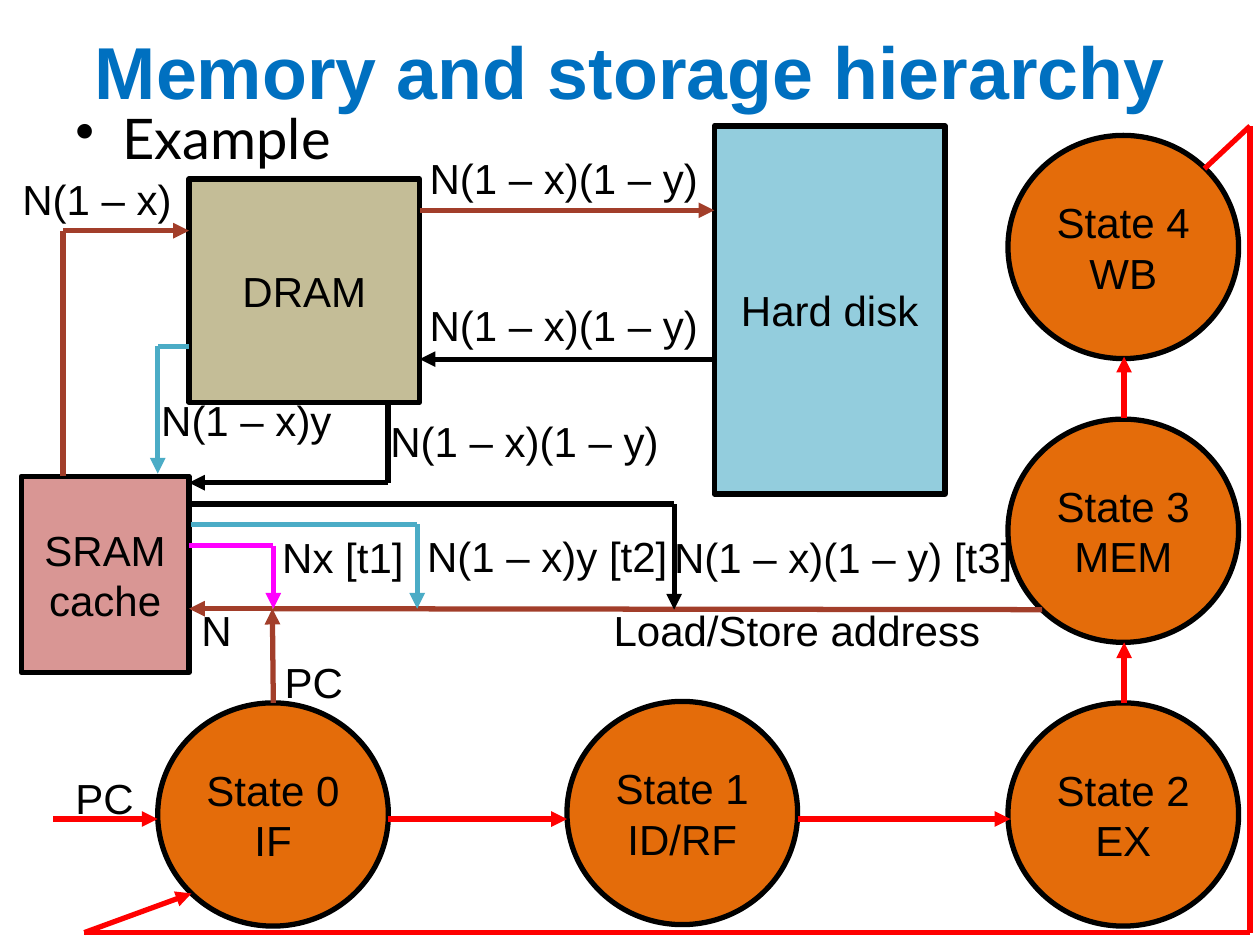
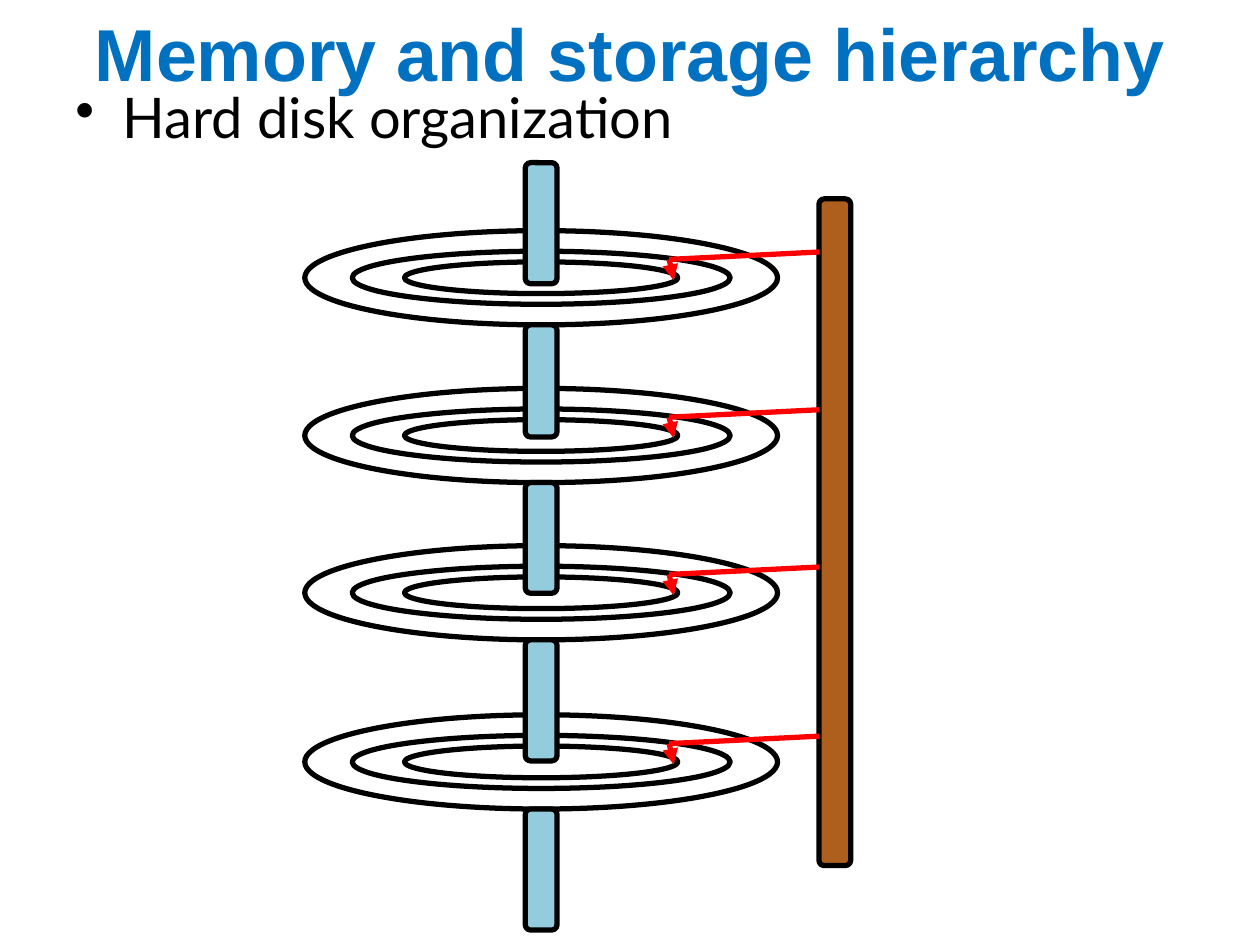
from itertools import pairwise

from pptx import Presentation
from pptx.dml.color import RGBColor
from pptx.enum.shapes import MSO_CONNECTOR, MSO_SHAPE as Shape
from pptx.enum.text import MSO_ANCHOR as Anchor, MSO_AUTO_SIZE as AutoSize, PP_ALIGN as Align
from pptx.oxml.ns import qn
from pptx.util import Cm, Pt
from lxml.etree import SubElement

BLACK = RGBColor(0x00, 0x00, 0x00)
RED = RGBColor(0xFF, 0x00, 0x00)
BROWN = RGBColor(0xA2, 0x3E, 0x2A)
TEAL = RGBColor(0x4B, 0xAC, 0xC6)
MAGENTA = RGBColor(0xFF, 0x00, 0xFF)
TITLE_BLUE = RGBColor(0x00, 0x70, 0xC0)
ORANGE = RGBColor(0xE4, 0x6C, 0x0A)
PINK = RGBColor(0xD9, 0x96, 0x94)
TAN = RGBColor(0xC4, 0xBD, 0x97)
LIGHT_BLUE = RGBColor(0x93, 0xCD, 0xDD)
RUST = RGBColor(0xAE, 0x5F, 0x1E)


class Deck:
    heading = "Memory and storage hierarchy"
    stroke = Pt(3)

    def __init__(self):
        self.show = Presentation()
        self.show.slide_width, self.show.slide_height = Cm(25.4), Cm(19.05)

    def new_slide(self, topic, title_top, title_height, topic_top):
        self.slide = self.show.slides.add_slide(self.show.slide_layouts[6])
        title = self.text_frame(0, title_top, 25.4, title_height)
        title.vertical_anchor = Anchor.MIDDLE
        self.set_text(title, self.heading, 42, TITLE_BLUE, align=Align.CENTER, bold=True)
        body = self.text_frame(1.27, topic_top, 24.13, 19.05 - topic_top)
        self.set_text(body, topic, 32, font="Lato")
        self.bullet(body.paragraphs[0])

    def text_frame(self, left, top, width, height):
        box = self.slide.shapes.add_textbox(Cm(left), Cm(top), Cm(width), Cm(height))
        box.text_frame.word_wrap = True
        return box.text_frame

    def set_text(self, frame, text, size=24, color=BLACK, font="Arial", align=Align.LEFT, bold=False):
        frame.text = text
        for paragraph in frame.paragraphs:
            paragraph.alignment = align
            paragraph.font.name = font
            paragraph.font.size = Pt(size)
            paragraph.font.bold = bold
            paragraph.font.color.rgb = color

    def bullet(self, paragraph):
        paragraph.line_spacing = 0.9
        paragraph.space_before = Pt(6.4)
        properties = paragraph._p.get_or_add_pPr()
        properties.set("marL", str(Cm(0.95)))
        properties.set("indent", str(-Cm(0.95)))
        mark = properties.makeelement(qn("a:buChar"), {"char": "•"})
        properties.find(qn("a:spcBef")).addnext(mark)

    def label(self, text, left, top, width):
        frame = self.text_frame(left, top, width, 1.27)
        frame.word_wrap = False
        frame.auto_size = AutoSize.SHAPE_TO_FIT_TEXT
        self.set_text(frame, text)

    def block(self, kind, left, top, width, height, fill=None, text=""):
        shape = self.slide.shapes.add_shape(kind, Cm(left), Cm(top), Cm(width), Cm(height))
        shape.shadow.inherit = False
        shape.line.color.rgb = BLACK
        shape.line.width = self.stroke
        if fill is None:
            shape.fill.background()
        else:
            shape.fill.solid()
            shape.fill.fore_color.rgb = fill
        if text:
            shape.text_frame.vertical_anchor = Anchor.MIDDLE
            self.set_text(shape.text_frame, text, align=Align.CENTER)

    def route(self, color, *stops):
        for (x1, y1), (x2, y2) in pairwise(stops):
            line = self.slide.shapes.add_connector(
                MSO_CONNECTOR.STRAIGHT, Cm(x1), Cm(y1), Cm(x2), Cm(y2))
            line.line.color.rgb = color
            line.line.width = self.stroke
            SubElement(line._element.spPr, qn("a:effectLst"))
        SubElement(line._element.spPr.find(qn("a:ln")), qn("a:tailEnd"), type="triangle")


deck = Deck()

deck.new_slide("Example", 0.28, 2.26, 2.11)

STATE_PITCH = 5.72
EX_LEFT, EX_TOP = 20.32, 14.17
states = [
    ("State 0\nIF", 3.18, EX_TOP),
    ("State 1\nID/RF", 11.43, EX_TOP - 0.03),
    ("State 2\nEX", EX_LEFT, EX_TOP),
    ("State 3\nMEM", EX_LEFT, EX_TOP - STATE_PITCH),
    ("State 4\nWB", EX_LEFT, EX_TOP - 2 * STATE_PITCH),
]
for name, left, top in states:
    deck.block(Shape.OVAL, left, top, 4.65, 4.5, ORANGE, name)

deck.block(Shape.RECTANGLE, 0.43, 9.6, 3.38, 3.96, PINK, "SRAM cache")
deck.block(Shape.RECTANGLE, 3.81, 3.61, 4.65, 4.5, TAN, "DRAM")
deck.block(Shape.RECTANGLE, 14.4, 2.54, 4.65, 7.42, LIGHT_BLUE, "Hard disk")

routes = [
    (BROWN, (21.01, 12.29), (5.49, 12.27), (3.81, 12.27)),
    (MAGENTA, (3.81, 11), (5.51, 11), (5.51, 12.27)),
    (BROWN, (1.27, 9.6), (1.27, 4.65), (3.81, 4.65)),
    (TEAL, (3.81, 6.98), (3.18, 6.98), (3.18, 9.55)),
    (BROWN, (8.46, 4.24), (14.4, 4.24)),
    (BLACK, (14.4, 7.24), (8.46, 7.24)),
    (RED, (1.07, 16.51), (3.18, 16.51)),
    (RED, (7.82, 16.51), (11.43, 16.51)),
    (RED, (16.08, 16.51), (20.37, 16.51)),
    (RED, (22.66, 14.17), (22.66, 12.95)),
    (RED, (22.66, 8.43), (22.66, 7.19)),
    (RED, (24.28, 3.4), (25.2, 2.54), (25.2, 18.8), (1.7, 18.8), (3.86, 18.01)),
    (BROWN, (5.51, 14.17), (5.49, 12.27)),
    (BLACK, (7.82, 8.08), (7.82, 9.73), (3.81, 9.73)),
    (TEAL, (3.86, 10.57), (8.41, 10.57), (8.41, 12.27)),
    (BLACK, (3.86, 10.16), (13.59, 10.16), (13.59, 12.29)),
]
for color, *stops in routes:
    deck.route(color, *stops)

MISS = "N(1 – x)"
DISK_ACCESS = MISS + "(1 – y)"
labels = [
    ("PC", 1.27, 15.44, 1.7),
    ("PC", 5.49, 13.11, 1.7),
    ("Load/Store address", 12.12, 12.07, 7.98),
    ("N", 3.81, 12.07, 1.14),
    ("Nx [t1]", 5.44, 10.59, 2.97),
    (MISS, 0.2, 3.38, 3.56),
    (MISS + "y", 3, 7.82, 3.99),
    (DISK_ACCESS, 8.41, 2.95, 5.97),
    (DISK_ACCESS, 8.41, 5.92, 5.97),
    (DISK_ACCESS, 7.62, 8.26, 5.97),
    (MISS + "y [t2]", 8.36, 10.57, 5.41),
    (DISK_ACCESS + " [t3]", 13.34, 10.59, 7.39),
]
for label in labels:
    deck.label(*label)

deck.new_slide("Hard disk organization", 0, 2.11, 1.7)

PLATTER_X = 10.91
platters = [5.6, 8.78, 11.95, 15.36]
tracks = [(9.53, 1.9), (7.62, 1.07), (5.51, 0.64)]
for middle in platters:
    for width, height in tracks:
        deck.block(Shape.OVAL, PLATTER_X - width / 2, middle - height / 2, width, height)

spindle_tops = [3.28] + [middle + 0.95 for middle in platters]
spindle_bottoms = [5.72, 8.81, 11.96, 15.34, 18.75]
for top, bottom in zip(spindle_tops, spindle_bottoms):
    deck.block(Shape.ROUNDED_RECTANGLE, 10.59, top, 0.64, bottom - top, LIGHT_BLUE)

ARM_X = 16.51
deck.block(Shape.ROUNDED_RECTANGLE, ARM_X, 4.01, 0.64, 13.44, RUST)
for middle in platters:
    tip = (13.49, middle - 0.37)
    deck.route(RED, (ARM_X, middle - 0.52), tip, (13.58, middle + 0.05))

deck.show.save("out.pptx")
